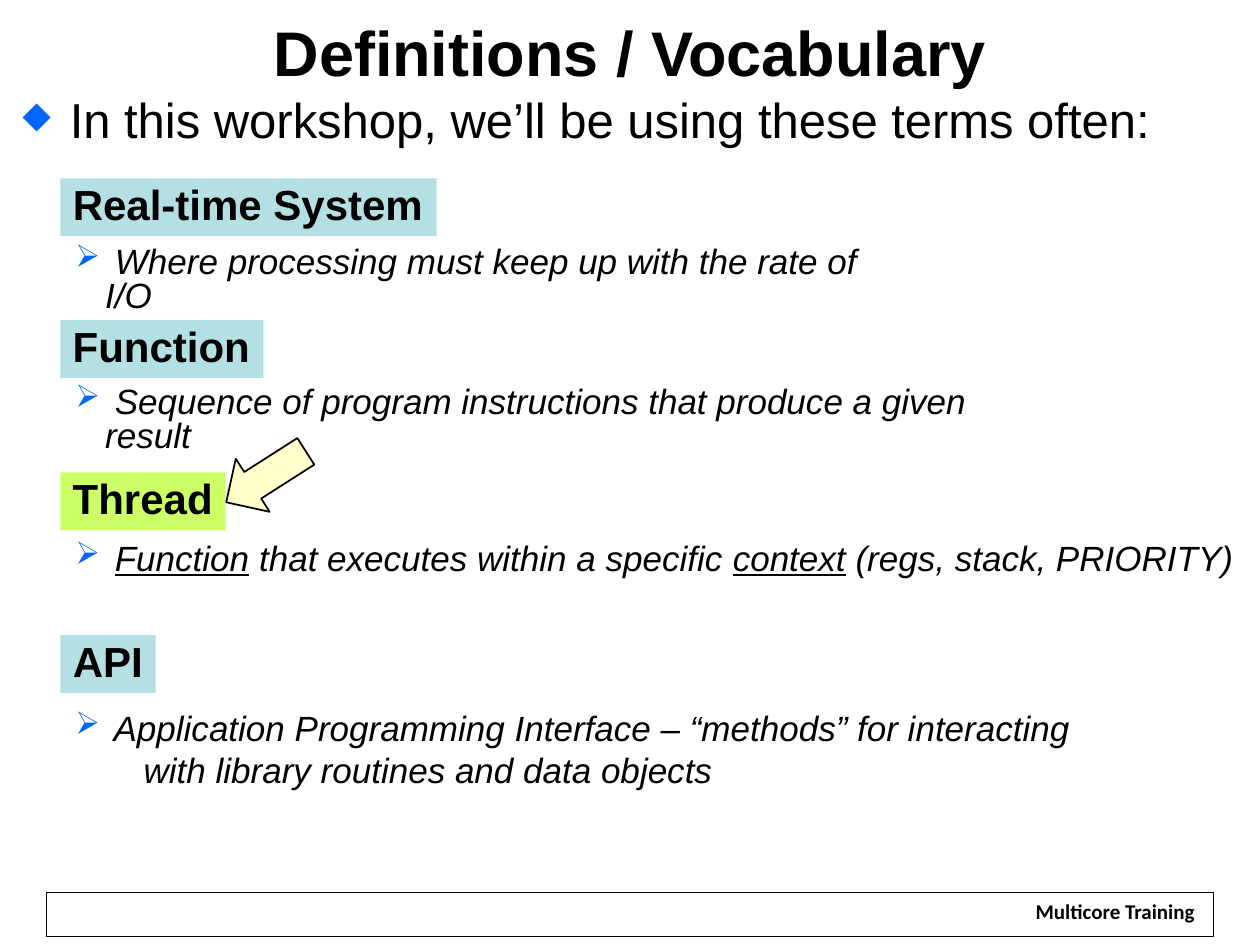
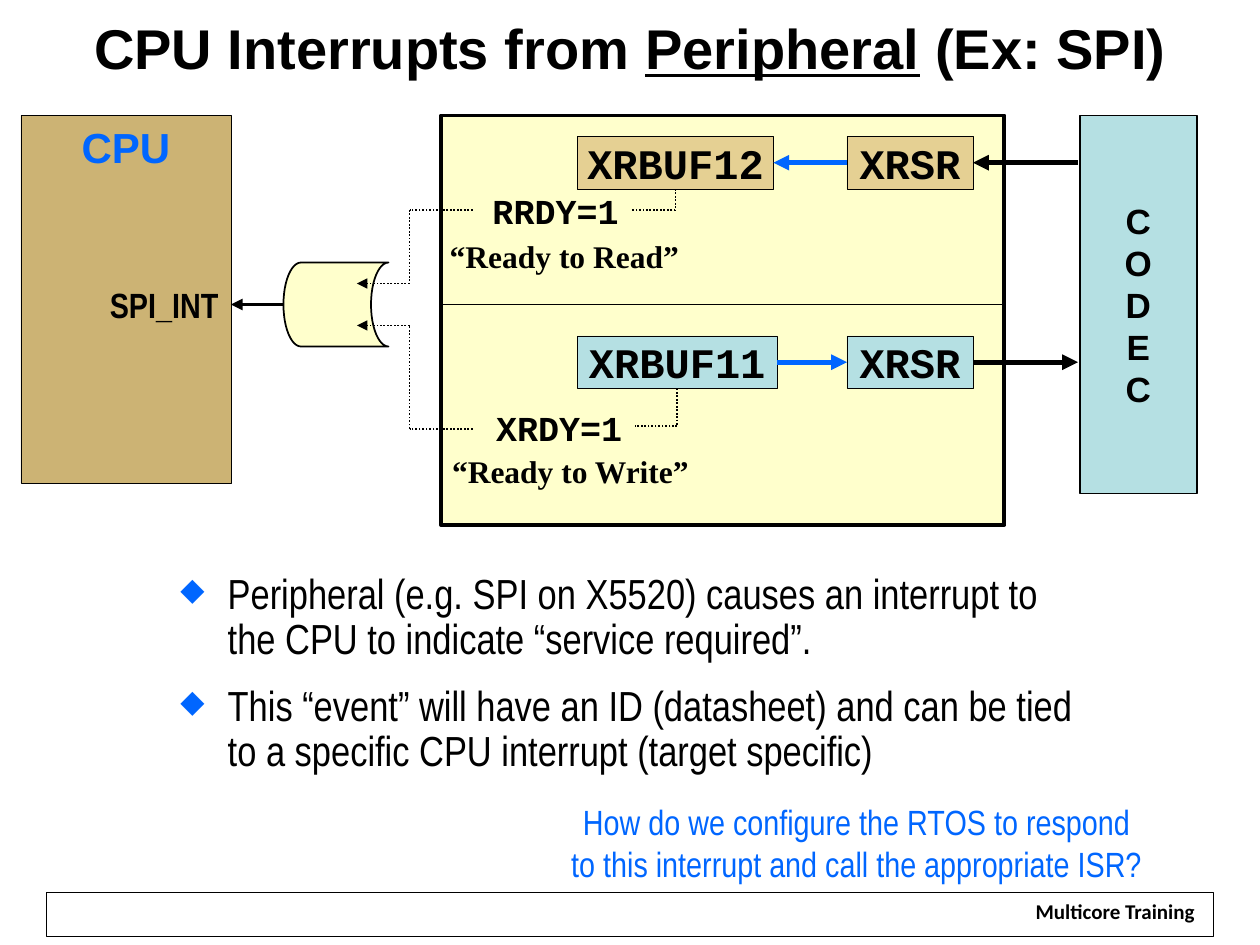
import pptx
import pptx.dml.color
import pptx.enum.dml
import pptx.enum.shapes
import pptx.enum.text
import pptx.oxml.ns
import pptx.util
from lxml import etree

Pt = pptx.util.Pt
RGB = pptx.dml.color.RGBColor
SHAPE = pptx.enum.shapes.MSO_SHAPE
ALIGN = pptx.enum.text.PP_ALIGN
ANCHOR = pptx.enum.text.MSO_ANCHOR
DOTTED = pptx.enum.dml.MSO_LINE.ROUND_DOT
qn = pptx.oxml.ns.qn

BLACK = RGB(0x00, 0x00, 0x00)
BLUE = RGB(0x00, 0x66, 0xFF)
AQUA = RGB(0xB5, 0xE0, 0xE3)
LIME = RGB(0xCC, 0xFF, 0x66)
CREAM = RGB(0xFF, 0xFF, 0xCC)
TAN = RGB(0xCC, 0xB3, 0x74)
SAND = RGB(0xE5, 0xD0, 0x93)

DIAMOND = ("◆", 75)
ARROWHEAD = ("➢", 90)
LEFT, RIGHT = 1, 3


def set_bullet(paragraph, bullet, indent):
    """Give a paragraph a hanging blue bullet, (character, percent of text size)."""
    char, percent = bullet
    props = paragraph._p.get_or_add_pPr()
    props.set("marL", str(Pt(indent)))
    props.set("indent", str(-Pt(indent)))
    colour = etree.SubElement(props, qn("a:buClr"))
    etree.SubElement(colour, qn("a:srgbClr"), val=str(BLUE))
    etree.SubElement(props, qn("a:buSzPct"), val=str(percent * 1000))
    etree.SubElement(props, qn("a:buChar"), char=char)


def add_runs(paragraph, text, size, font, color, bold, italic):
    """Add text run by run; pieces between bars are underlined, \\n breaks the line."""
    for number, piece in enumerate(text.split("|")):
        for row, line in enumerate(piece.split("\n")):
            if row:
                paragraph.add_line_break()
            if line:
                run = paragraph.add_run()
                run.text = line
                run.font.size = Pt(size)
                run.font.name = font
                run.font.color.rgb = color
                run.font.bold = bold
                run.font.italic = italic
                if number % 2:
                    run.font.underline = True


def write(shape, *texts, size, font="Arial", color=BLACK, bold=False, italic=False,
          align=ALIGN.LEFT, anchor=ANCHOR.TOP, spacing=1.0, gap=0, wrap=False,
          inset=None, bullet=None, indent=0):
    frame = shape.text_frame
    frame.auto_size = pptx.enum.text.MSO_AUTO_SIZE.NONE
    frame.word_wrap = wrap
    frame.vertical_anchor = anchor
    if inset is not None:
        frame.margin_left = frame.margin_right = Pt(inset)
        frame.margin_top = frame.margin_bottom = Pt(inset)
    for number, text in enumerate(texts):
        paragraph = frame.add_paragraph() if number else frame.paragraphs[0]
        paragraph.alignment = align
        paragraph.line_spacing = spacing
        if number and gap:
            paragraph.space_before = Pt(gap)
        if bullet:
            set_bullet(paragraph, bullet, indent)
        add_runs(paragraph, text, size, font, color, bold, italic)


def add_text(slide, box, *texts, **style):
    area = slide.shapes.add_textbox(*map(Pt, box))
    write(area, *texts, **style)
    return area


def add_block(slide, box, fill=None, line=None, kind=SHAPE.RECTANGLE):
    block = slide.shapes.add_shape(kind, *map(Pt, box))
    block.shadow.inherit = False
    if fill is None:
        block.fill.background()
    else:
        block.fill.solid()
        block.fill.fore_color.rgb = fill
    if line is None:
        block.line.fill.background()
    else:
        block.line.color.rgb = BLACK
        block.line.width = Pt(line)
    return block


def add_line(slide, start, end, width, color=BLACK, dotted=False, arrow=False):
    """Draw from start to end; each is a point or a (shape, side) pair to join."""
    points = [(0, 0) if hasattr(spot[0], "shape_id") else spot for spot in (start, end)]
    line = slide.shapes.add_connector(
        pptx.enum.shapes.MSO_CONNECTOR.STRAIGHT, *map(Pt, points[0] + points[1]))
    for spot, join in ((start, line.begin_connect), (end, line.end_connect)):
        if hasattr(spot[0], "shape_id"):
            join(*spot)
    line.line.color.rgb = color
    line.line.width = Pt(width)
    if dotted:
        line.line.dash_style = DOTTED
    if arrow:
        etree.SubElement(line.line._get_or_add_ln(), qn("a:tailEnd"), type="triangle")
    etree.SubElement(line._element.spPr, qn("a:effectLst"))


def add_signal(slide, *corners, arrow=False):
    """Draw a dotted path through its corners."""
    legs = list(zip(corners, corners[1:]))
    for leg in legs:
        add_line(slide, *leg, 1, dotted=True, arrow=arrow and leg == legs[-1])


def start_slide(deck, title, size):
    """Add a slide with its title and the shared footer."""
    slide = deck.slides.add_slide(deck.slide_layouts[5])
    heading = slide.shapes.title
    heading.left, heading.top, heading.width, heading.height = map(Pt, (0, 0, 720, 58))
    write(heading, title, size=size, bold=True, align=ALIGN.CENTER, wrap=True, inset=7.5)
    add_block(slide, (26.6, 510, 666.7, 25), line=0.75)
    add_text(slide, (584, 512.5, 106.5, 19), "Multicore Training", size=12, font="Calibri",
             bold=True, align=ALIGN.CENTER, anchor=ANCHOR.MIDDLE, spacing=0.8, inset=0)
    return slide


def add_term(slide, term, top, width, fill):
    label = add_block(slide, (34.5, top, width, 33), fill)
    write(label, term, size=24, bold=True, spacing=0.9)


def add_definition(slide, top, width, text, spacing=0.8):
    return add_text(slide, (36, top, width, 27), text, size=20, italic=True, wrap=True,
                    spacing=spacing, bullet=ARROWHEAD, indent=17)


def build_vocabulary(deck):
    slide = start_slide(deck, "Definitions / Vocabulary", 36)
    add_text(slide, (5.8, 54, 670, 35), "In this workshop, we’ll be using these terms often:",
             size=28, spacing=0.8, wrap=True, bullet=DIAMOND, indent=27)
    for term, top, width, fill in (("Real-time System", 102, 215, AQUA),
                                   ("Function", 183, 116, AQUA),
                                   ("Thread", 270, 94.5, LIME),
                                   ("API", 363, 54.5, AQUA)):
        add_term(slide, term, top, width, fill)
    add_definition(slide, 138, 489, " Where processing must keep up with the rate of I/O")
    add_definition(slide, 218, 574,
                   " Sequence of program instructions that produce a given result")
    add_definition(slide, 307.5, 684,
                   " |Function| that executes within a specific |context| (regs, stack, PRIORITY)")
    api = add_definition(slide, 400, 600,
                         " Application Programming Interface – “methods” for interacting", 1.0)
    api.height = Pt(55)
    second_line = api.text_frame.add_paragraph()
    second_line._p.get_or_add_pPr().set("marL", str(Pt(39)))
    add_runs(second_line, "with library routines and data objects", 20, "Arial", BLACK,
             False, True)
    pointer = add_block(slide, (134, 245.5, 36, 54), CREAM, 1, SHAPE.DOWN_ARROW)
    pointer.rotation = 57.4


def add_register(slide, name, left, top, width, fill):
    register = add_block(slide, (left, top, width, 30), fill, 0.25)
    write(register, name, size=24, font="Courier New", bold=True,
          align=ALIGN.CENTER, anchor=ANCHOR.MIDDLE)
    return register


def add_flag(slide, flag, flag_box, meaning, meaning_box):
    """Label a status flag and, below it, what it means."""
    for text, box, size, font in ((flag, flag_box, 20, "Courier New"),
                                  (meaning, meaning_box, 18, "Times New Roman")):
        add_text(slide, box, text, size=size, font=font, bold=True, inset=0,
                 align=ALIGN.CENTER, anchor=ANCHOR.MIDDLE)


def build_interrupts(deck):
    slide = start_slide(deck, "CPU Interrupts from |Peripheral| (Ex: SPI)", 32)
    add_block(slide, (252, 66, 322, 234), CREAM, 2.25)
    add_line(slide, (252, 174), (574, 174), 0.25, dotted=True)
    cpu = add_block(slide, (12, 66, 120, 210), TAN, 0.25)
    write(cpu, "CPU", size=24, color=BLUE, bold=True, align=ALIGN.CENTER)
    add_text(slide, (55, 158, 77, 32), "SPI_INT", size=20, font="Arial Narrow", bold=True,
             align=ALIGN.RIGHT, anchor=ANCHOR.MIDDLE)
    codec = add_block(slide, (617, 66, 67, 216), AQUA, 1)
    write(codec, "\n".join("CODEC"), size=20, bold=True, align=ALIGN.CENTER,
          anchor=ANCHOR.MIDDLE, wrap=True)

    receive_buffer = add_register(slide, "XRBUF12", 330, 78, 112, SAND)
    receive_shift = add_register(slide, "XRSR", 484, 78, 72, SAND)
    add_line(slide, (receive_shift, LEFT), (receive_buffer, RIGHT), 3, BLUE, arrow=True)
    add_line(slide, (616, 93), (receive_shift, RIGHT), 3, arrow=True)
    send_buffer = add_register(slide, "XRBUF11", 330, 192, 114, AQUA)
    send_shift = add_register(slide, "XRSR", 484, 192, 72, AQUA)
    add_line(slide, (send_buffer, RIGHT), (send_shift, LEFT), 3, BLUE, arrow=True)
    add_line(slide, (send_shift, RIGHT), (616, 207), 3, arrow=True)

    add_flag(slide, "RRDY=1", (274, 108, 87, 24), "“Ready to Read”", (257, 135, 131, 22))
    add_flag(slide, "XRDY=1", (276, 232, 87, 24), "“Ready to Write”", (258, 258, 136, 22))
    add_signal(slide, (386, 108), (386, 120), (361, 120))
    add_signal(slide, (387, 222), (387, 243.5), (363, 243.5))

    gate = add_block(slide, (162, 150, 60, 48), CREAM, 1, SHAPE.FLOWCHART_STORED_DATA)
    for flag_y, gate_y in ((120, 162), (245, 186)):
        add_signal(slide, (270, flag_y), (234, flag_y), (234, gate_y), (204, gate_y),
                   arrow=True)
    add_line(slide, (gate, LEFT), (132, 174), 2.25, arrow=True)

    add_text(slide, (96, 324, 528, 127),
             "Peripheral (e.g. SPI on X5520) causes an interrupt to the CPU to indicate "
             "“service required”.",
             "This “event” will have an ID (datasheet) and can be tied to a specific CPU "
             "interrupt (target specific)",
             size=24, font="Arial Narrow", spacing=0.9, gap=12, wrap=True,
             bullet=DIAMOND, indent=27)
    add_text(slide, (323, 455, 333, 50.5), "How do we configure the RTOS to respond",
             "to this interrupt and call the appropriate ISR?", size=20, font="Arial Narrow",
             color=BLUE, align=ALIGN.CENTER, anchor=ANCHOR.BOTTOM, inset=0)


def main():
    deck = pptx.Presentation()
    deck.slide_width, deck.slide_height = Pt(720), Pt(540)
    build_vocabulary(deck)
    build_interrupts(deck)
    deck.save("out.pptx")


if __name__ == "__main__":
    main()
